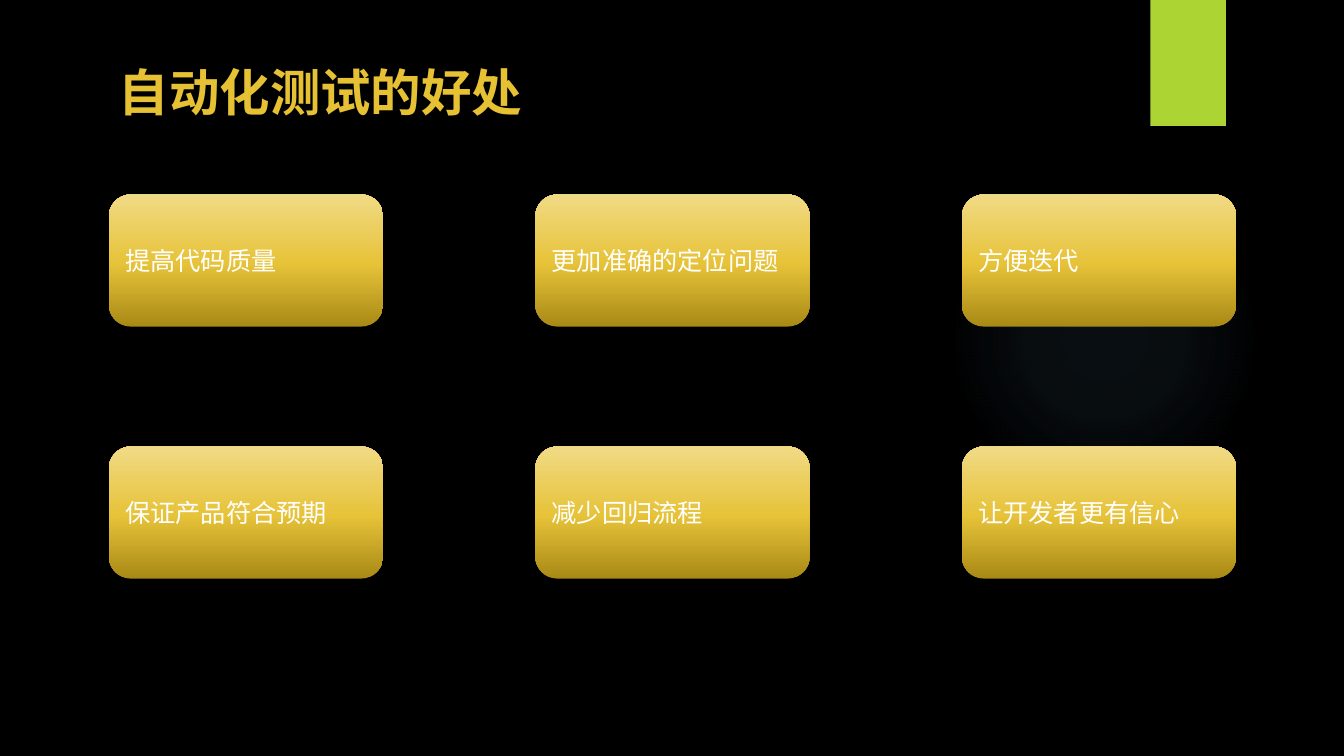
from pptx import Presentation
from pptx.dml.color import RGBColor
from pptx.enum.shapes import MSO_SHAPE as Preset
from pptx.enum.text import MSO_ANCHOR as Anchor, PP_ALIGN as Align
from pptx.oxml import parse_xml
from pptx.oxml.ns import nsdecls, qn
from pptx.util import Inches, Pt

CJK_FONT = "Noto Sans CJK SC"
GOLD = [(0, "A88915", 100), (48, "E7C339", 100), (100, "F0DA85", 100)]
GLOW = [(0, "7AC4F0", 7), (36, "7AC4F0", 6), (69, "7AC4F0", 0)]
UPWARD = '<a:lin ang="16200000" scaled="0"/>'
RADIAL = '<a:path path="circle"><a:fillToRect l="50000" t="50000" r="50000" b="50000"/></a:path>'
BENEFITS = [
    ["提高代码质量", "更加准确的定位问题", "方便迭代"],
    ["保证产品符合预期", "减少回归流程", "让开发者更有信心"],
]


def paint(fill, color):
    """Make a fill solid with a hex colour."""
    fill.solid()
    fill.fore_color.rgb = RGBColor.from_string(color)


def add_plain(slide, preset, left, top, width, height):
    """Add a preset shape without outline, shadow or fill."""
    shape = slide.shapes.add_shape(
        preset, Inches(left), Inches(top), Inches(width), Inches(height))
    shape.shadow.inherit = False
    shape.line.fill.background()
    shape.fill.background()
    return shape


def shade(shape, stops, direction):
    """Give an unfilled shape a gradient of (position, colour, opacity) stops."""
    stop_xml = "".join(
        f'<a:gs pos="{pos * 1000}"><a:srgbClr val="{color}">'
        f'<a:alpha val="{opacity * 1000}"/></a:srgbClr></a:gs>'
        for pos, color, opacity in stops)
    gradient = parse_xml(
        f'<a:gradFill {nsdecls("a")} rotWithShape="1">'
        f'<a:gsLst>{stop_xml}</a:gsLst>{direction}</a:gradFill>')
    properties = shape.element.spPr
    properties.replace(properties.find(qn("a:noFill")), gradient)


def write(shape, text, size, color, font=CJK_FONT, bold=False, anchor=Anchor.MIDDLE):
    """Write one left-aligned, formatted line into a shape."""
    frame = shape.text_frame
    frame.word_wrap = True
    frame.vertical_anchor = anchor
    paragraph = frame.paragraphs[0]
    paragraph.alignment = Align.LEFT
    run = paragraph.add_run()
    run.text = text
    run.font.name = font
    run.font.size = Pt(size)
    run.font.bold = bold
    run.font.color.rgb = RGBColor.from_string(color)
    run.font._element.find(qn("a:latin")).addnext(
        parse_xml(f'<a:ea {nsdecls("a")} typeface="{CJK_FONT}"/>'))


def add_backdrop(slide, width):
    """Draw the black ground, the faint glow and the green tab."""
    paint(slide.background.fill, "000000")
    glow = add_plain(slide, Preset.OVAL, width - 3.92, 1.83, 3.08, 3.08)
    shade(glow, GLOW, RADIAL)
    tab = add_plain(slide, Preset.RECTANGLE, width - 1.92, 0, 0.75, 1.25)
    paint(tab.fill, "ACD433")


def add_title(slide, left, top, width, height):
    """Place the slide title in its box."""
    title = slide.shapes.add_textbox(
        Inches(left), Inches(top), Inches(width), Inches(height))
    write(title, "自动化测试的好处", 36, "E6C133", bold=True, anchor=Anchor.TOP)


def add_benefits(slide, left, top, width, height):
    """Spread the benefit cards evenly over a box."""
    card_width, card_height = 2.72, 1.31
    column_step = (width - card_width) / (len(BENEFITS[0]) - 1)
    row_step = (height - card_height) / (len(BENEFITS) - 1)
    for row, benefits in enumerate(BENEFITS):
        for column, benefit in enumerate(benefits):
            card = add_plain(
                slide, Preset.ROUNDED_RECTANGLE, left + column * column_step,
                top + row * row_step, card_width, card_height)
            shade(card, GOLD, UPWARD)
            write(card, benefit, 18, "FFFFFF", font="Quicksand")


def main():
    """Build the slide and save it."""
    deck = Presentation()
    width, height = 13.33, 7.5
    deck.slide_width, deck.slide_height = Inches(width), Inches(height)
    slide = deck.slides.add_slide(deck.slide_layouts[6])
    add_backdrop(slide, width)
    add_benefits(slide, 1.08, 1.93, 11.18, 3.81)
    add_title(slide, 1.08, 0.56, 10.29, 1.53)
    deck.save("out.pptx")


if __name__ == "__main__":
    main()
